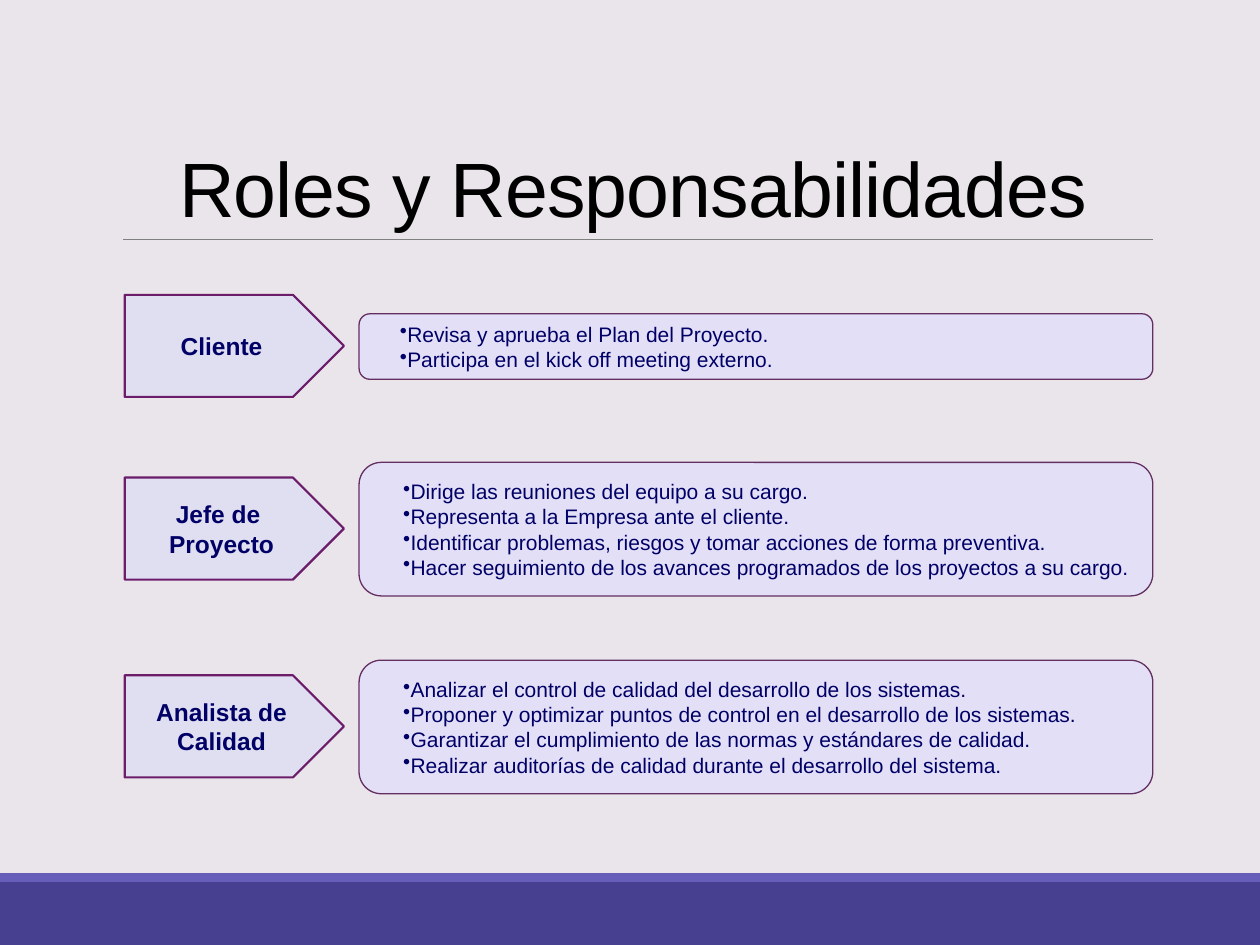
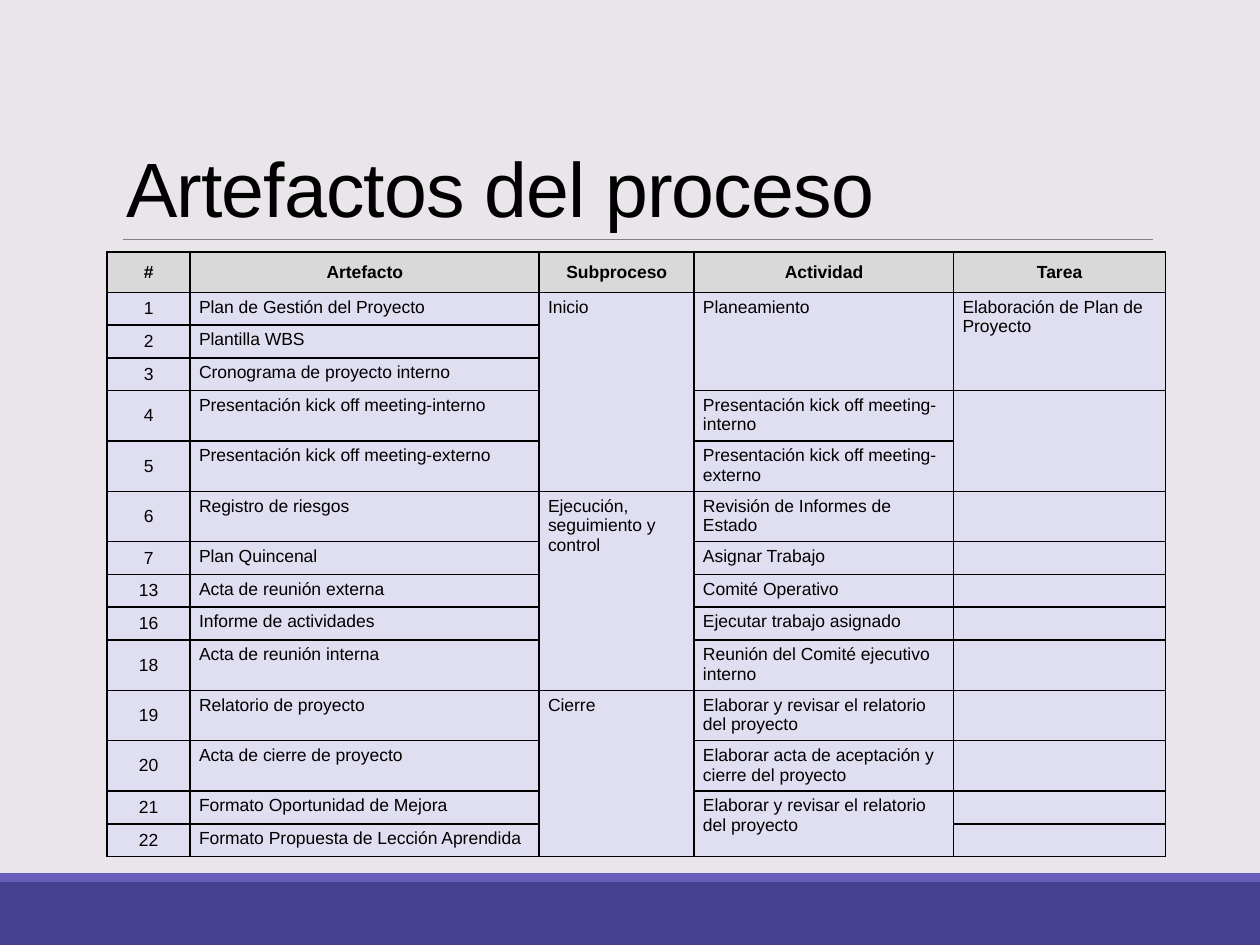
from lxml.etree import SubElement
from pptx import Presentation
from pptx.dml.color import RGBColor
from pptx.enum.shapes import MSO_CONNECTOR as LINK, MSO_SHAPE as SHAPE
from pptx.enum.text import MSO_ANCHOR as ANCHOR, MSO_AUTO_SIZE as FIT, PP_ALIGN as ALIGN
from pptx.oxml import parse_xml
from pptx.oxml.ns import nsdecls, qn
from pptx.util import Inches, Pt

BACK = RGBColor(0xEA, 0xE5, 0xEB)
BAND = RGBColor(0x47, 0x40, 0x91)
STRIP = RGBColor(0x66, 0x5E, 0xB8)
RULE = RGBColor(0x80, 0x80, 0x80)
BLACK = RGBColor(0, 0, 0)
NAVY = RGBColor(0, 0, 0x66)
PALE = RGBColor(0xE0, 0xDF, 0xF1)
LILAC = RGBColor(0xE3, 0xDF, 0xF7)
PLUM = RGBColor(0x6C, 0x1D, 0x6A)
WINE = RGBColor(0x63, 0x2E, 0x62)
GREY = RGBColor(0xD9, 0xD9, 0xD9)


def write(frame, text, size=10, color=BLACK, bold=False, align=ALIGN.LEFT,
          anchor=ANCHOR.TOP, space=None, track=None, bullet=False):
    frame.word_wrap = True
    frame.vertical_anchor = anchor
    for i, line in enumerate(text.split("\n")):
        para = frame.add_paragraph() if i else frame.paragraphs[0]
        para.alignment = align
        if space:
            para.line_spacing = space
        if bullet:
            props = para._p.get_or_add_pPr()
            props.set("marL", "0")
            props.set("indent", str(Inches(0.2)))
            SubElement(props, qn("a:buChar")).set("char", "•")
        if not line:
            SubElement(para._p, qn("a:endParaRPr")).set("sz", str(size * 100))
            continue
        run = para.add_run()
        run.text = line
        font = run.font
        font.name, font.size, font.bold = "Arial", Pt(size), bold
        font.color.rgb = color
        if track:
            font._element.set("spc", str(track))


def draw(slide, kind, left, top, width, height, fill, line=None, weight=1):
    shape = slide.shapes.add_shape(kind, Inches(left), Inches(top), Inches(width), Inches(height))
    shape.shadow.inherit = False
    shape.fill.solid()
    shape.fill.fore_color.rgb = fill
    if line:
        shape.line.color.rgb = line
        shape.line.width = Pt(weight)
    else:
        shape.line.fill.background()
    return shape


deck = Presentation()
deck.slide_width, deck.slide_height = Inches(10), Inches(7.5)

heads = [("Roles y Responsabilidades", ALIGN.CENTER), ("Artefactos del proceso", ALIGN.LEFT)]
for text, align in heads:
    slide = deck.slides.add_slide(deck.slide_layouts[5])
    slide.background.fill.solid()
    slide.background.fill.fore_color.rgb = BACK
    draw(slide, SHAPE.RECTANGLE, 0, 7, 10, 0.5, BAND)
    draw(slide, SHAPE.RECTANGLE, 0, 6.93, 10, 0.07, STRIP)
    rule = slide.shapes.add_connector(LINK.STRAIGHT, Inches(0.98), Inches(1.9), Inches(9.15), Inches(1.9))
    rule.line.color.rgb = RULE
    rule.line.width = Pt(0.5)
    SubElement(rule._element.spPr, qn("a:effectLst"))
    title = slide.shapes.title
    title.left, title.top, title.width, title.height = map(Inches, (0.9, 0.31, 8.25, 1.59))
    title.text_frame.auto_size = FIT.NONE
    write(title.text_frame, text, size=44, align=align, anchor=ANCHOR.BOTTOM, space=0.85, track=-50)

first, second = deck.slides

roles = [
    ("Cliente", 2.75, 0.52, [
        "Revisa y aprueba el Plan del Proyecto.",
        "Participa en el kick off meeting externo."]),
    ("Jefe de \nProyecto", 4.2, 1.06, [
        "Dirige las reuniones del equipo a su cargo.",
        "Representa a la Empresa ante el cliente.",
        "Identificar problemas, riesgos y tomar acciones de forma preventiva.",
        "Hacer seguimiento de los avances programados de los proyectos a su cargo."]),
    ("Analista de Calidad", 5.77, 1.06, [
        "Analizar el control de calidad del desarrollo de los sistemas.",
        "Proponer y optimizar puntos de control en el desarrollo de los sistemas.",
        "Garantizar el cumplimiento de las normas y estándares de calidad.",
        "Realizar auditorías de calidad durante el desarrollo del sistema."]),
]
for role, mid, high, tasks in roles:
    tag = draw(first, SHAPE.PENTAGON, 0.99, mid - 0.41, 1.74, 0.81, PALE, PLUM, 1.25)
    write(tag.text_frame, role, size=14, color=NAVY, bold=True, align=ALIGN.CENTER, anchor=ANCHOR.MIDDLE)
    box = draw(first, SHAPE.ROUNDED_RECTANGLE, 2.85, mid - high / 2, 6.3, high, LILAC, WINE, 0.75)
    write(box.text_frame, "\n".join(tasks), size=12, color=NAVY, anchor=ANCHOR.MIDDLE, bullet=True)

rows = [
    ("#", "Artefacto", "Subproceso", "Actividad", "Tarea"),
    ("1", "Plan de Gestión del Proyecto", "Inicio", "Planeamiento", "Elaboración de Plan de Proyecto"),
    ("2", "Plantilla WBS", None, None, None),
    ("3", "Cronograma de proyecto interno", None, None, None),
    ("4", "Presentación kick off meeting-interno", None, "Presentación kick off meeting-interno", ""),
    ("5", "Presentación kick off meeting-externo", None, "Presentación kick off meeting-externo", None),
    ("6", "Registro de riesgos", "Ejecución, seguimiento y control", "Revisión de Informes de Estado", ""),
    ("7", "Plan Quincenal", None, "Asignar Trabajo", ""),
    ("13", "Acta de reunión externa", None, "Comité Operativo", ""),
    ("16", "Informe de actividades", None, "Ejecutar trabajo asignado", ""),
    ("18", "Acta de reunión interna", None, "Reunión del Comité ejecutivo interno", ""),
    ("19", "Relatorio de proyecto", "Cierre", "Elaborar y revisar el relatorio del proyecto", ""),
    ("20", "Acta de cierre de proyecto", None, "Elaborar acta de aceptación y cierre del proyecto", ""),
    ("21", "Formato Oportunidad de Mejora", None, "Elaborar y revisar el relatorio del proyecto", ""),
    ("22", "Formato Propuesta de Lección Aprendida", None, None, ""),
]
wides = [0.66, 2.77, 1.23, 2.06, 1.68]
highs = [0.32] + [0.4 if row[0] in ("4", "5", "6", "18", "19", "20") else 0.26 for row in rows[1:]]

grid = second.shapes.add_table(len(rows), len(wides), Inches(0.85), Inches(2),
                               Inches(sum(wides)), Inches(sum(highs))).table
grid.horz_banding = False
for col, wide in zip(grid.columns, wides):
    col.width = Inches(wide)
for row, high in zip(grid.rows, highs):
    row.height = Inches(high)

for r, row in enumerate(rows):
    for c, text in enumerate(row):
        cell = grid.cell(r, c)
        cell.margin_left = cell.margin_right = Inches(0.07)
        cell.margin_top = cell.margin_bottom = Inches(0.04)
        cell.fill.solid()
        cell.fill.fore_color.rgb = PALE if r else GREY
        mid = r == 0 or c == 0
        write(cell.text_frame, text or "", bold=r == 0, align=ALIGN.CENTER if mid else ALIGN.LEFT)
        cell.vertical_anchor = ANCHOR.MIDDLE if mid else ANCHOR.TOP
        props = cell._tc.get_or_add_tcPr()
        for i, side in enumerate("LRTB"):
            props.insert(i, parse_xml(
                f'<a:ln{side} {nsdecls("a")} w="{Pt(1)}"><a:solidFill>'
                f'<a:srgbClr val="{BLACK}"/></a:solidFill></a:ln{side}>'))

for c in range(len(wides)):
    starts = [r for r, row in enumerate(rows) if row[c] is not None]
    for top, end in zip(starts, starts[1:] + [len(rows)]):
        if end - top > 1:
            grid.cell(top, c).merge(grid.cell(end - 1, c))

deck.save("out.pptx")
